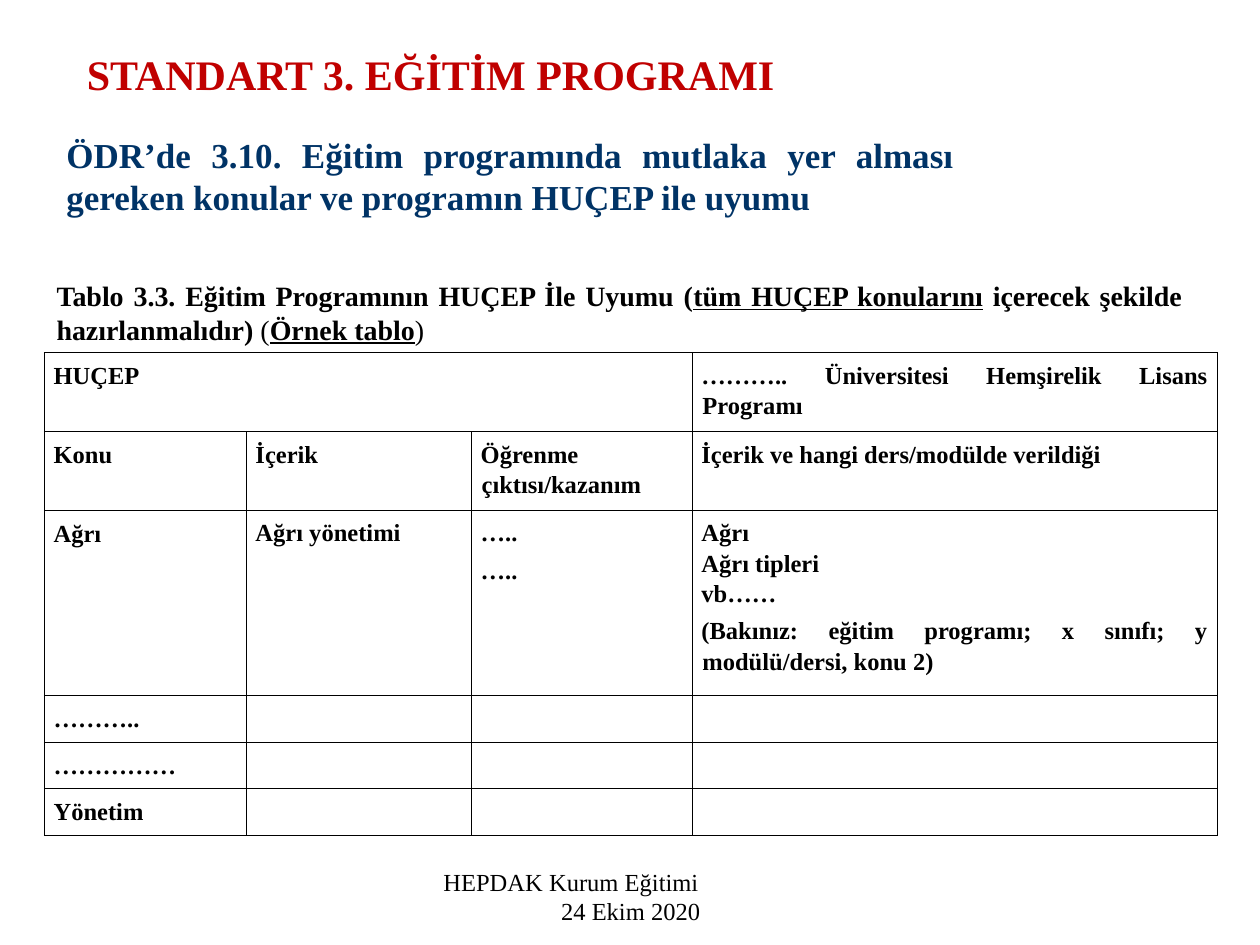
from lxml import etree
from pptx import Presentation
from pptx.dml.color import RGBColor
from pptx.enum.text import PP_ALIGN
from pptx.oxml.ns import qn
from pptx.util import Cm, Pt

LEFT, CENTER, JUSTIFY = PP_ALIGN.LEFT, PP_ALIGN.CENTER, PP_ALIGN.JUSTIFY
BLACK = RGBColor(0x00, 0x00, 0x00)
RED = RGBColor(0xC0, 0x00, 0x00)
NAVY = RGBColor(0x00, 0x33, 0x66)
FONT = "Times New Roman"

TITLE = "STANDART 3. EĞİTİM PROGRAMI"
SUBTITLE = ("ÖDR’de 3.10. Eğitim programında mutlaka yer alması gereken konular "
            "ve programın HUÇEP ile uyumu")
# text, bold, underlined
CAPTION = [
    ("Tablo 3.3. Eğitim Programının HUÇEP İle Uyumu (", True, False),
    ("tüm HUÇEP konularını", True, True),
    (" içerecek şekilde hazırlanmalıdır)", True, False),
    (" (", False, False),
    ("Örnek tablo", True, True),
    (")", False, False),
]
FOOTER = [("HEPDAK Kurum Eğitimi", LEFT), ("24 Ekim 2020", CENTER)]

# One list of paragraphs per cell
ROWS = [
    [["HUÇEP"], [], [], ["……….. Üniversitesi Hemşirelik Lisans Programı"]],
    [["Konu"], ["İçerik"], ["Öğrenme çıktısı/kazanım"],
     ["İçerik ve hangi ders/modülde verildiği"]],
    [["Ağrı"], ["Ağrı yönetimi"], ["…..", "….."],
     ["Ağrı", "Ağrı tipleri", "vb……",
      "(Bakınız: eğitim programı; x sınıfı; y modülü/dersi, konu 2)"]],
    [["……….."], [], [], []],
    [["……………"], [], [], []],
    [["Yönetim"], [], [], []],
]
COL_WIDTHS = [4.07, 4.54, 4.45, 10.59]
ROW_HEIGHTS = [1.32, 1.32, 3.45, 0.69, 0.69, 0.69]
SPACED_IN_LAST_COL = "vb……"


def style(p, size, color=BLACK, bold=None, align=LEFT):
    p.alignment = align
    p.font.name, p.font.size, p.font.bold = FONT, Pt(size), bold
    p.font.color.rgb = color


def add_text_frame(s, left, top, width, height):
    tf = s.shapes.add_textbox(Cm(left), Cm(top), Cm(width), Cm(height)).text_frame
    tf.word_wrap = True
    return tf


def set_borders(cell):
    tc_pr = cell._tc.get_or_add_tcPr()
    for i, side in enumerate(("lnL", "lnR", "lnT", "lnB")):
        ln = etree.Element(qn(f"a:{side}"), w=str(Pt(0.45)))
        fill = etree.SubElement(ln, qn("a:solidFill"))
        etree.SubElement(fill, qn("a:srgbClr"), val=str(BLACK))
        tc_pr.insert(i, ln)


def fill_cell(cell, texts, col):
    cell.fill.background()
    set_borders(cell)
    cell.margin_left = cell.margin_right = Cm(0.19)
    cell.margin_top = cell.margin_bottom = Cm(0.13)
    tf = cell.text_frame
    for i, text in enumerate(texts or [""]):
        p = tf.add_paragraph() if i else tf.paragraphs[0]
        p.text = text
        style(p, 14, bold=True, align=JUSTIFY)
        p.line_spacing = 1.15 if col == 0 and texts != ["HUÇEP"] else 1.12
        if col < 3 or text == SPACED_IN_LAST_COL:
            p.space_after = Pt(4.1)
        p_pr = p._p.get_or_add_pPr()
        p_pr.set("marL", str(Cm(0.02)))
        p_pr.set("indent", str(-Cm(0.02)))


def add_topic_table(s):
    n_rows, n_cols = len(ROWS), len(COL_WIDTHS)
    table = s.shapes.add_table(n_rows, n_cols, Cm(0.89), Cm(7.11),
                               Cm(sum(COL_WIDTHS)), Cm(sum(ROW_HEIGHTS))).table
    table.first_row = table.horz_banding = False
    for col, width in zip(table.columns, COL_WIDTHS):
        col.width = Cm(width)
    for row, height in zip(table.rows, ROW_HEIGHTS):
        row.height = Cm(height)
    for r, row in enumerate(ROWS):
        for c, texts in enumerate(row):
            fill_cell(table.cell(r, c), texts, c)
    table.cell(0, 0).merge(table.cell(0, 2))


def main():
    prs = Presentation()
    prs.slide_width, prs.slide_height = Cm(25.4), Cm(19.05)
    s = prs.slides.add_slide(prs.slide_layouts[6])

    tf = add_text_frame(s, 8.69, 17.35, 8.05, 1.27)
    for i, (text, align) in enumerate(FOOTER):
        p = tf.add_paragraph() if i else tf.paragraphs[0]
        p.text = text
        style(p, 14, align=align)

    p = add_text_frame(s, 1.5, 0.86, 18, 1.27).paragraphs[0]
    p.text = TITLE
    style(p, 24, RED, True)

    add_topic_table(s)

    p = add_text_frame(s, 0.89, 5.49, 23.19, 1.63).paragraphs[0]
    style(p, 16, align=JUSTIFY)
    for text, bold, underlined in CAPTION:
        r = p.add_run()
        r.text = text
        r.font.bold, r.font.underline = bold, underlined

    p = add_text_frame(s, 1.09, 2.57, 18.39, 1.96).paragraphs[0]
    p.text = SUBTITLE
    style(p, 20, NAVY, True, JUSTIFY)

    prs.save("out.pptx")


if __name__ == "__main__":
    main()
